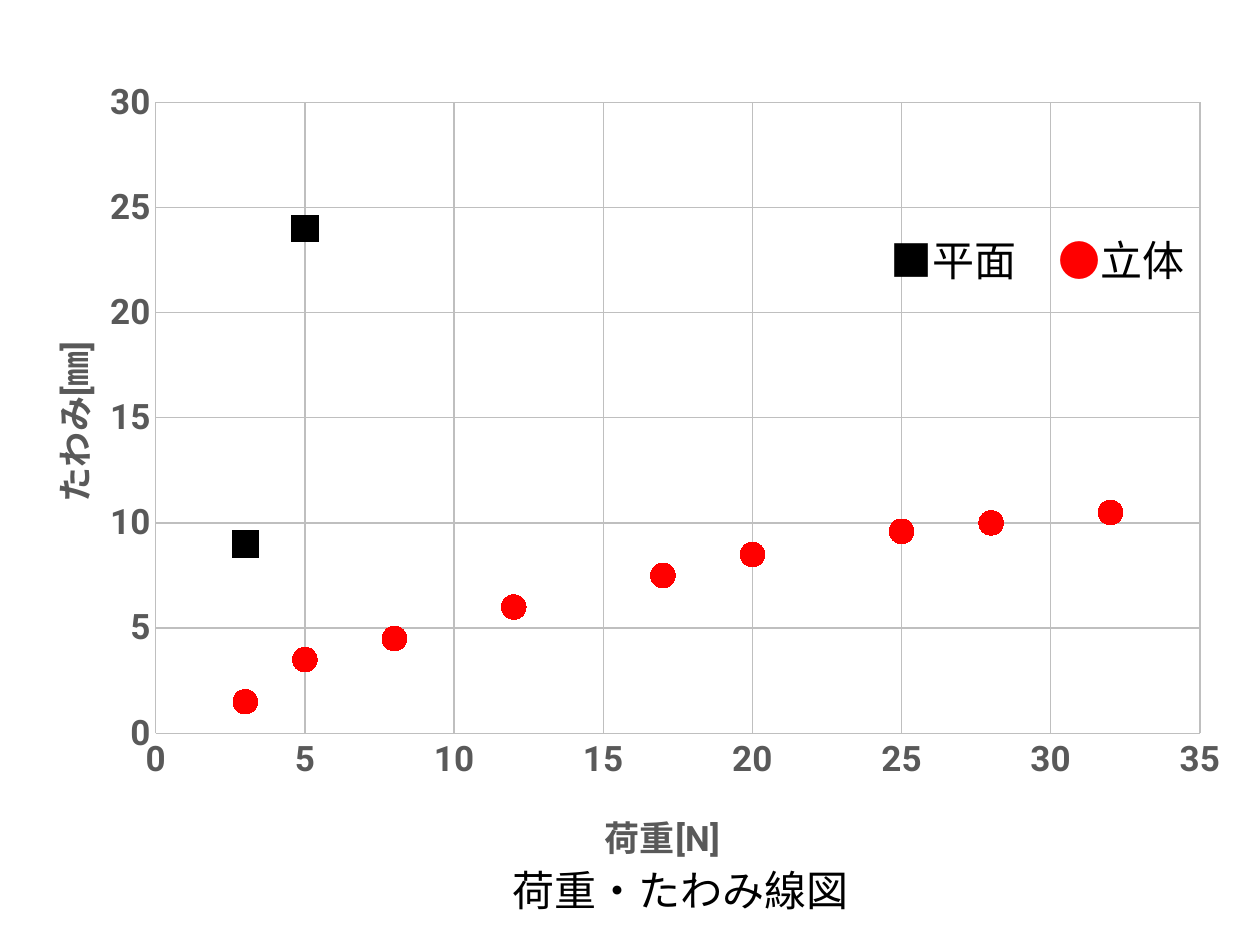
from dataclasses import dataclass

from lxml import etree
from pptx import Presentation
from pptx.chart.data import XyChartData
from pptx.dml.color import RGBColor
from pptx.enum import chart as ch
from pptx.enum import text as tx
from pptx.oxml.ns import qn
from pptx.util import Inches, Pt

BLACK = RGBColor(0x00, 0x00, 0x00)
RED = RGBColor(0xFF, 0x00, 0x00)
WHITE = RGBColor(0xFF, 0xFF, 0xFF)
GRAY = RGBColor(0x59, 0x59, 0x59)
GRID = RGBColor(0xBF, 0xBF, 0xBF)
FONT = "Roboto"


@dataclass
class Specimen:
    name: str
    points: list[tuple[float, float]]
    color: RGBColor
    marker: ch.XL_MARKER_STYLE
    size: int


@dataclass
class AxisStyle:
    title: str
    maximum: int
    title_x: float
    title_y: float


SPECIMENS = [
    Specimen("立体", [(3, 1.5), (5, 3.5), (8, 4.5), (12, 6), (17, 7.5), (20, 8.5),
                    (25, 9.6), (28, 10), (32, 10.5)],
             RED, ch.XL_MARKER_STYLE.CIRCLE, 14),
    Specimen("平面", [(3, 9), (5, 24)], BLACK, ch.XL_MARKER_STYLE.SQUARE, 15),
]
LOAD = AxisStyle("荷重[N]", 35, 0.48, 0.9)
DEFLECTION = AxisStyle("たわみ[㎜]", 30, 0.03, 0.33)


def style_font(font, size: float, color: RGBColor, bold: bool = False) -> None:
    font.name, font.size, font.bold = FONT, Pt(size), bold
    font.color.rgb = color


def manual_layout(**values) -> etree._Element:
    """Return a c:layout whose positions are fractions of the chart area."""
    layout = etree.Element(qn("c:layout"))
    manual = etree.SubElement(layout, qn("c:manualLayout"))
    for tag, value in values.items():
        etree.SubElement(manual, qn(f"c:{tag}")).set("val", str(value))
    return layout


def style_axis(axis, style: AxisStyle) -> None:
    axis.minimum_scale, axis.maximum_scale, axis.major_unit = 0, style.maximum, 5
    axis.major_tick_mark = axis.minor_tick_mark = ch.XL_TICK_MARK.NONE
    axis.has_major_gridlines = True
    for line in (axis.format.line, axis.major_gridlines.format.line):
        line.color.rgb, line.width = GRID, Pt(0.75)
    style_font(axis.tick_labels.font, 20, GRAY, bold=True)
    axis.tick_labels.number_format = "General"
    axis.tick_labels.number_format_is_linked = False

    title_frame = axis.axis_title.text_frame
    title_frame.text = style.title
    style_font(title_frame.paragraphs[0].font, 20, GRAY, bold=True)
    title = axis.axis_title._element
    for old in title.findall(qn("c:layout")):
        title.remove(old)
    title.find(qn("c:tx")).addnext(
        manual_layout(xMode="edge", yMode="edge", x=style.title_x, y=style.title_y))


def add_scatter(slide) -> None:
    data = XyChartData()
    for specimen in SPECIMENS:
        series = data.add_series(specimen.name)
        for load, deflection in specimen.points:
            series.add_data_point(load, deflection)
    chart = slide.shapes.add_chart(
        ch.XL_CHART_TYPE.XY_SCATTER, Inches(0), Inches(0.52),
        Inches(9.89), Inches(6.48), data).chart
    chart.has_title = chart.has_legend = False
    style_font(chart.font, 10, BLACK)

    plot = chart.plots[0]
    plot.vary_by_categories = False
    for series, specimen in zip(plot.series, SPECIMENS):
        series.smooth = False
        series.format.line.fill.background()
        marker = series.marker
        marker.style, marker.size = specimen.marker, specimen.size
        marker.format.fill.solid()
        marker.format.fill.fore_color.rgb = specimen.color
        marker.format.line.color.rgb = specimen.color

    style_axis(chart.category_axis, LOAD)
    style_axis(chart.value_axis, DEFLECTION)

    plot_area = chart._chartSpace.chart.plotArea
    for old in plot_area.findall(qn("c:layout")):
        plot_area.remove(old)
    plot_area.insert(0, manual_layout(
        layoutTarget="inner", xMode="edge", yMode="edge",
        x=0.125, y=0.045, w=0.838, h=0.773))
    background = etree.SubElement(plot_area, qn("c:spPr"))
    fill = etree.SubElement(background, qn("a:solidFill"))
    etree.SubElement(fill, qn("a:srgbClr")).set("val", str(WHITE))


def add_label(slide, left: float, top: float, width: float,
              runs: list[tuple[str, RGBColor]]) -> None:
    frame = slide.shapes.add_textbox(
        Inches(left), Inches(top), Inches(width), Inches(0.5)).text_frame
    frame.word_wrap = False
    frame.auto_size = tx.MSO_AUTO_SIZE.SHAPE_TO_FIT_TEXT
    paragraph = frame.paragraphs[0]
    paragraph.font.name, paragraph.font.size = FONT, Pt(24)
    for words, color in runs:
        run = paragraph.add_run()
        run.text = words
        run.font.color.rgb = color


def main() -> None:
    deck = Presentation()
    deck.slide_width, deck.slide_height = Inches(10), Inches(7.5)
    slide = deck.slides.add_slide(deck.slide_layouts[6])
    add_label(slide, 3.97, 6.81, 2.89, [("荷重・たわみ線図", BLACK)])
    add_scatter(slide)
    add_label(slide, 6.97, 1.81, 2.56,
              [("■平面　", BLACK), ("●", RED), ("立体", BLACK)])
    deck.save("out.pptx")


if __name__ == "__main__":
    main()
